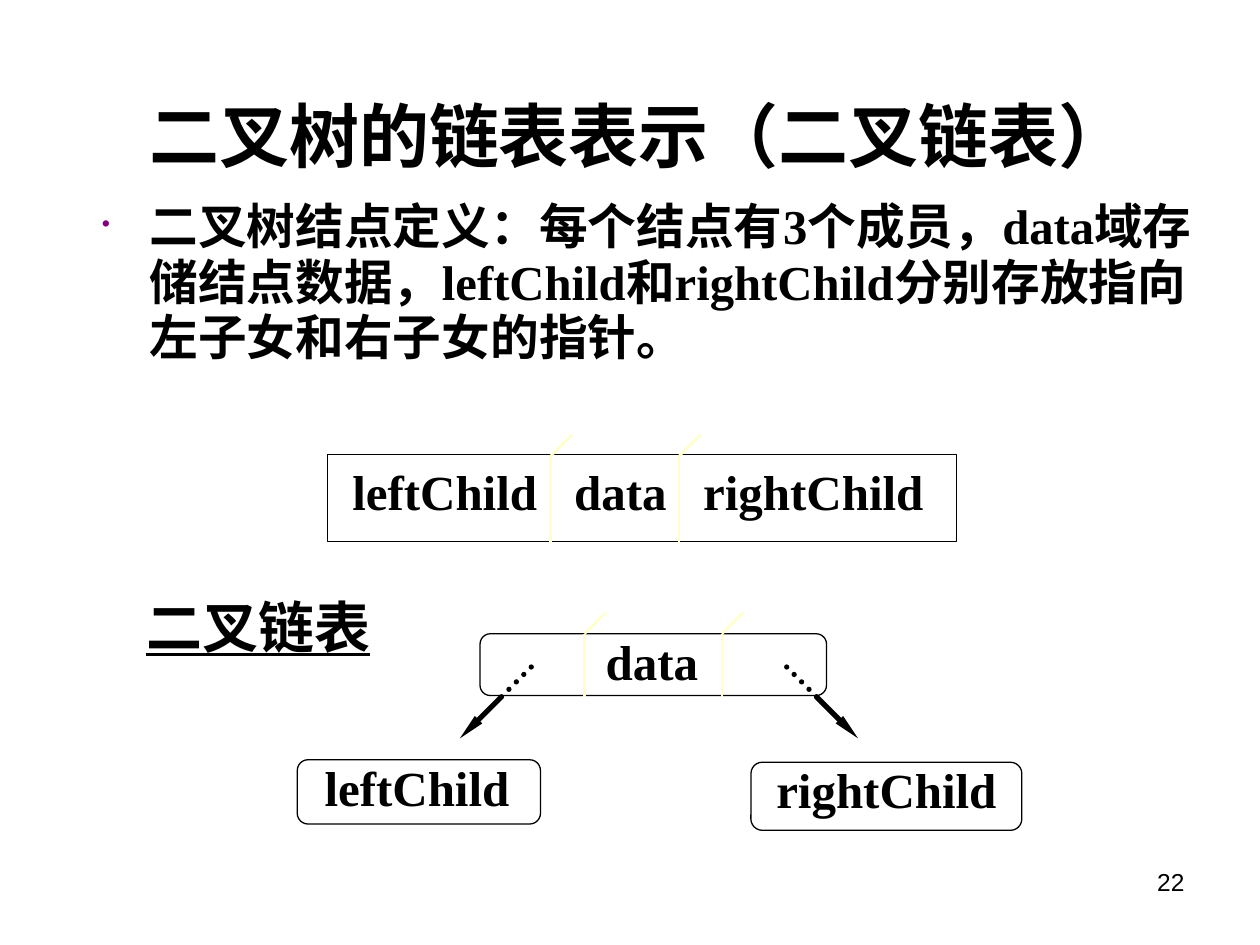
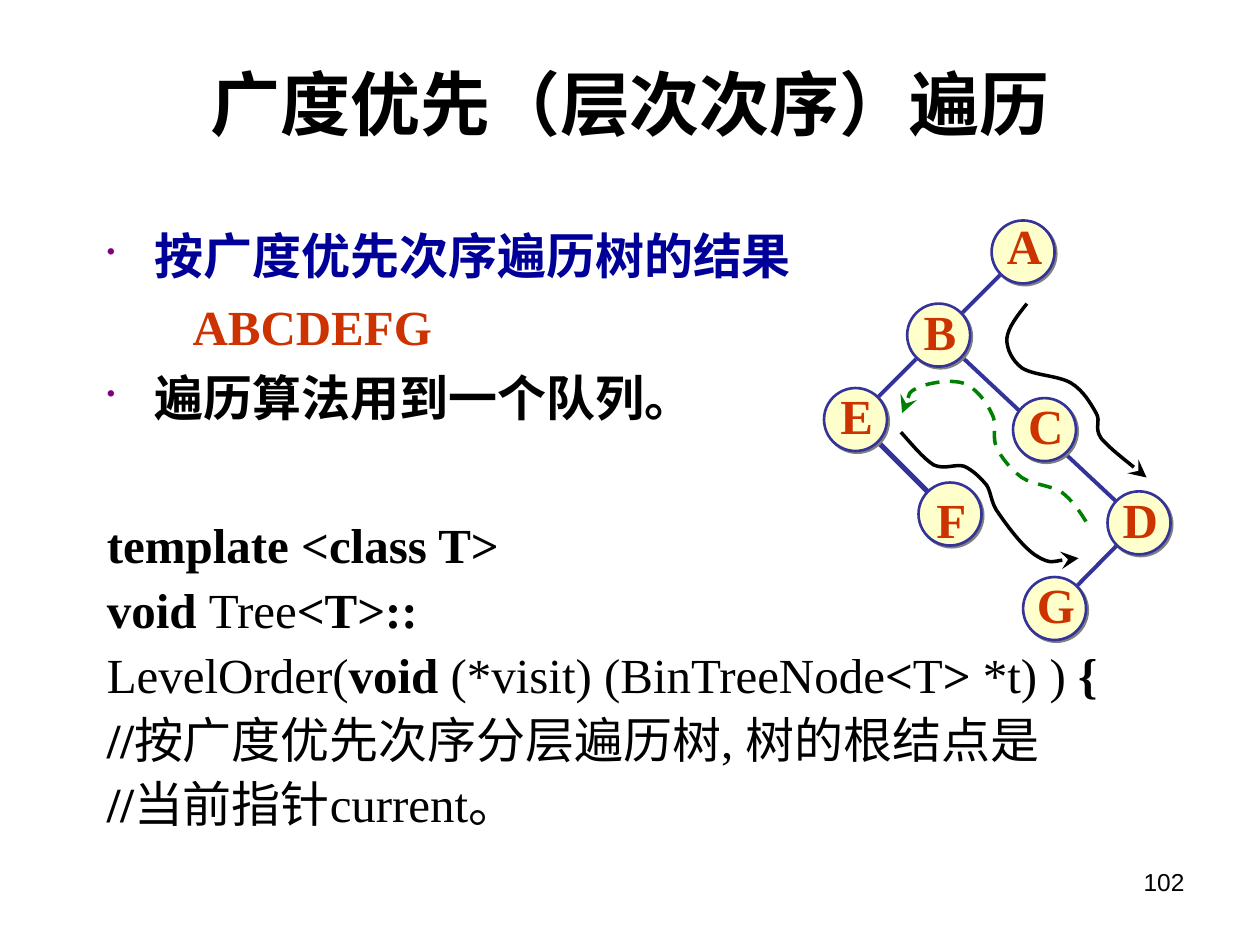
from dataclasses import dataclass
from math import hypot
from typing import NamedTuple

from lxml import etree
from pptx import Presentation
from pptx.dml.color import RGBColor
from pptx.enum.dml import MSO_LINE
from pptx.enum.shapes import MSO_CONNECTOR, MSO_SHAPE
from pptx.enum.text import MSO_ANCHOR, MSO_AUTO_SIZE, PP_ALIGN
from pptx.oxml.ns import qn
from pptx.util import Inches, Pt

# Shared look
BLACK = RGBColor(0x00, 0x00, 0x00)
WHITE = RGBColor(0xFF, 0xFF, 0xFF)
CREAM = RGBColor(0xFF, 0xFF, 0xCC)
INDIGO = RGBColor(0x33, 0x33, 0x99)
NAVY = RGBColor(0x00, 0x00, 0x99)
RUST = RGBColor(0xCC, 0x33, 0x00)
GREEN = RGBColor(0x00, 0x80, 0x00)
PURPLE = RGBColor(0x80, 0x00, 0x80)
GRAY = RGBColor(0x80, 0x80, 0x80)
SERIF, SANS, CJK = "Times New Roman", "Arial", "Noto Sans CJK JP"

LEFT, CENTER, RIGHT = PP_ALIGN.LEFT, PP_ALIGN.CENTER, PP_ALIGN.RIGHT
TOP, MIDDLE = MSO_ANCHOR.TOP, MSO_ANCHOR.MIDDLE
RECTANGLE, ROUNDED = MSO_SHAPE.RECTANGLE, MSO_SHAPE.ROUNDED_RECTANGLE
OVAL, STRAIGHT = MSO_SHAPE.OVAL, MSO_CONNECTOR.STRAIGHT
DASH, DOTS = MSO_LINE.DASH, MSO_LINE.ROUND_DOT

# Grid of 100 columns by 75 rows
WIDTH, HEIGHT = Inches(10), Inches(7.5)
COLUMN, ROW = WIDTH / 100, HEIGHT / 75
HANGING = 3.8


class Point(NamedTuple):
    x: float
    y: float

    def emu(self) -> tuple[int, int]:
        return round(self.x * COLUMN), round(self.y * ROW)


class Area(NamedTuple):
    left: float
    top: float
    width: float
    height: float

    def emu(self) -> tuple[int, int, int, int]:
        return (*Point(self.left, self.top).emu(), *Point(self.width, self.height).emu())


class Span(NamedTuple):
    text: str
    bold: bool = True
    color: RGBColor = BLACK


@dataclass
class Para:
    spans: list[Span]
    bullet: bool = False
    margin: float = 0
    before: float = 0
    spacing: float = 1.0


class Node(NamedTuple):
    center: Point
    rise: float = 0.7


class Curve(NamedTuple):
    points: list[tuple[float, float]]
    color: RGBColor = BLACK
    dash: MSO_LINE | None = None


def child(parent, tag: str, **attributes: str):
    return etree.SubElement(parent, qn(tag), attributes)


# Text
def format_span(span, *, size: float, font: str, asian: str, color: RGBColor,
                bold: bool, underline: bool = False) -> None:
    span.font.size = Pt(size)
    span.font.bold = bold
    span.font.underline = underline or None
    span.font.color.rgb = color
    span.font.name = font
    child(span._r.get_or_add_rPr(), "a:ea", typeface=asian)


def add_bullet(para) -> None:
    properties = para._p.get_or_add_pPr()
    child(child(properties, "a:buClr"), "a:srgbClr", val=str(PURPLE))
    child(properties, "a:buSzPct", val="50000")
    child(properties, "a:buChar", char="•")


def fill_text(frame, paras: list[Para], *, size: float, font: str = SERIF,
              asian: str = SANS, align: PP_ALIGN = LEFT, anchor: MSO_ANCHOR = TOP,
              wrap: bool = True, underline: bool = False) -> None:
    frame.word_wrap = wrap
    frame.auto_size = MSO_AUTO_SIZE.NONE
    frame.vertical_anchor = anchor
    for index, item in enumerate(paras):
        para = frame.paragraphs[0] if index == 0 else frame.add_paragraph()
        para.alignment = align
        para.line_spacing = item.spacing
        if index:
            para.space_before = Pt(item.before)
        properties = para._p.get_or_add_pPr()
        properties.set("marL", str(round(item.margin * COLUMN)))
        properties.set("indent", str(-round(HANGING * COLUMN) if item.bullet else 0))
        if item.bullet:
            add_bullet(para)
        for part in item.spans:
            span = para.add_run()
            span.text = part.text
            format_span(span, size=size, font=font, asian=asian, color=part.color,
                        bold=part.bold, underline=underline)


def add_text(page, area: Area, paras: list[Para], **style) -> None:
    box = page.shapes.add_textbox(*area.emu())
    fill_text(box.text_frame, paras, **style)


def add_label(page, area: Area, text: str, *, size: float = 28,
              color: RGBColor = BLACK, underline: bool = False) -> None:
    add_text(page, area, [Para([Span(text, color=color)])], size=size,
             align=CENTER, anchor=MIDDLE, wrap=False, underline=underline)


def add_page(deck, title: str, area: Area, number: int):
    page = deck.slides.add_slide(deck.slide_layouts[5])
    box = page.shapes.title
    box.left, box.top, box.width, box.height = area.emu()
    fill_text(box.text_frame, [Para([Span(title)])], size=40, font=SANS, asian=CJK,
              align=CENTER, anchor=MIDDLE)
    add_text(page, Area(71.7, 68.3, 23.3, 5.2), [Para([Span(str(number), False)])],
             size=14, font=SANS, align=RIGHT)
    return page


# Shapes and lines
def add_box(page, kind: MSO_SHAPE, area: Area, *, fill: RGBColor = WHITE,
            line: RGBColor = BLACK, weight: float = 0.75):
    box = page.shapes.add_shape(kind, *area.emu())
    box.shadow.inherit = False
    box.fill.solid()
    box.fill.fore_color.rgb = fill
    box.line.color.rgb = line
    box.line.width = Pt(weight)
    return box


def style_line(shape, color: RGBColor, weight: float, dash: MSO_LINE | None = None,
               **arrow: str) -> None:
    shape.line.color.rgb = color
    shape.line.width = Pt(weight)
    if dash is not None:
        shape.line.dash_style = dash
    outline = shape.line._get_or_add_ln()
    if dash == DOTS:
        outline.set("cap", "rnd")
    if arrow:
        child(outline, "a:tailEnd", **arrow)


def add_line(page, start: Point, end: Point, color: RGBColor, weight: float,
             dash: MSO_LINE | None = None, **arrow: str) -> None:
    line = page.shapes.add_connector(STRAIGHT, *start.emu(), *end.emu())
    style_line(line, color, weight, dash, **arrow)
    child(line._element.spPr, "a:effectLst")


def add_divider(page, x: float, top: float, bottom: float) -> None:
    corner = Point(x, top)
    add_line(page, Point(x, bottom), corner, CREAM, 1.5)
    add_line(page, corner, Point(x + 1.7, top - 1.7), CREAM, 1.5)


def add_curve(page, curve: Curve) -> None:
    start, *rest = [Point(*point).emu() for point in curve.points]
    builder = page.shapes.build_freeform(*start)
    builder.add_line_segments(rest, close=False)
    shape = builder.convert_to_shape()
    shape.shadow.inherit = False
    shape.fill.background()
    style_line(shape, curve.color, 2, curve.dash, type="stealth", w="lg", len="lg")
    # Every three segments become one cubic curve
    segments = list(shape._element.iter(qn("a:lnTo")))
    for first in range(0, len(segments), 3):
        cubic = etree.Element(qn("a:cubicBezTo"))
        segments[first].addprevious(cubic)
        for segment in segments[first:first + 3]:
            cubic.append(segment[0])
            segment.getparent().remove(segment)


def add_node(page, name: str, node: Node) -> None:
    x, y = node.center
    circle = add_box(page, OVAL, Area(x - 2.5, y - 2.5, 5, 5), fill=CREAM,
                     line=INDIGO, weight=1.5)
    effects = circle._element.spPr.find(qn("a:effectLst"))
    shadow = child(effects, "a:outerShdw", dist=str(Pt(1.4)), dir="2700000", algn="ctr",
                   rotWithShape="0")
    child(shadow, "a:srgbClr", val=str(GRAY))
    add_label(page, Area(x - 2.3, y - 2.5 - node.rise, 4.8, 5.7), name, color=RUST)


def add_edge(page, start: Point, end: Point, weight: float) -> None:
    length = hypot(end.x - start.x, end.y - start.y)
    inset_x = 1.1 * (end.x - start.x) / length
    inset_y = 1.1 * (end.y - start.y) / length
    add_line(page, Point(start.x + inset_x, start.y + inset_y),
             Point(end.x - inset_x, end.y - inset_y), INDIGO, weight)


# Slide contents
DEFINITION = ("二叉树结点定义：每个结点有3个成员，data域存储结点数据，"
              "leftChild和rightChild分别存放指向左子女和右子女的指针。")

CODE = [
    [Span("template <class T>")],
    [Span("void "), Span("Tree", False), Span("<T>::")],
    [Span("LevelOrder(", False), Span("void"), Span(" (*visit) (BinTreeNode", False),
     Span("<"), Span("T", False), Span(">"), Span(" *t) ) ", False), Span("{")],
    [Span("//"), Span("按广度优先次序分层遍历树, 树的根结点是", False)],
    [Span("//"), Span("当前指针current。", False)],
]

NODES = {
    "A": Node(Point(81.2, 20), 0.9),
    "B": Node(Point(74.5, 26.6)),
    "C": Node(Point(82.9, 34.1)),
    "D": Node(Point(90.4, 41.5)),
    "E": Node(Point(67.9, 33.3)),
    "F": Node(Point(75.4, 40.8), 0),
    "G": Node(Point(83.7, 48.3)),
}
EDGES = [("D", "G", 2.25), ("E", "F", 3), ("A", "E", 2.25), ("B", "D", 2.25)]

CURVES = [
    Curve([(81.5, 24.1), (80.7, 25.1), (80, 26), (79.9, 26.9), (79.9, 27.7),
           (80.3, 28.6), (81.1, 29.2), (82, 29.8), (84, 29.8), (85, 30.4), (86, 31),
           (86.6, 32.1), (87, 32.8), (87.4, 33.5), (86.8, 33.9), (87.4, 34.8),
           (88.1, 35.6), (90.4, 37.4), (91, 37.9)]),
    Curve([(86.2, 41.4), (85.7, 40.6), (85.1, 39.7), (84.3, 39.1), (83.4, 38.5),
           (82, 38.5), (81.1, 37.9), (80.3, 37.3), (79.5, 36.4), (79.1, 35.5),
           (78.7, 34.7), (79.2, 33.6), (78.7, 32.8), (78.3, 31.9), (77.4, 30.7),
           (76.4, 30.4), (75.4, 30.1), (73.6, 30.4), (72.8, 30.8), (72, 31.2),
           (71.8, 32.4), (71.6, 32.8)], GREEN, DASH),
    Curve([(71.5, 34.3), (72.4, 35.3), (73.3, 36.4), (74.1, 36.9), (75, 37.3),
           (75.8, 36.8), (76.5, 37), (77.2, 37.3), (77.8, 37.9), (78.3, 38.5),
           (78.7, 39.1), (78.6, 39.9), (79.3, 40.8), (80, 41.8), (81.3, 43.6),
           (82.4, 44.2), (83.4, 44.8), (85, 44.3), (85.6, 44.3)]),
]


def build_linked_list(deck) -> None:
    page = add_page(deck, "二叉树的链表表示（二叉链表）", Area(5.7, 5.2, 90, 11), 22)
    add_text(page, Area(7.1, 15.4, 88.6, 17.3),
             [Para([Span(DEFINITION)], True, HANGING, spacing=0.95)], size=27.8)

    # Node record
    add_box(page, RECTANGLE, Area(26, 36.1, 49.9, 6.9))
    for field, left, width in (("leftChild", 27, 16.6), ("data", 44.6, 9.3),
                               ("rightChild", 54.8, 19.5)):
        add_label(page, Area(left, 36.1, width, 5.7), field)
    for x in (43.7, 53.9):
        add_divider(page, x, 36.2, 43)

    # Parent with two children
    add_label(page, Area(10.6, 46.5, 19.8, 6.4), "二叉链表", size=32, underline=True)
    for area in (Area(38.1, 50.3, 27.5, 4.9), Area(59.6, 60.5, 21.5, 5.4),
                 Area(23.6, 60.3, 19.3, 5.1)):
        add_box(page, ROUNDED, area)
    add_label(page, Area(47.1, 49.6, 9.3, 5.7), "data")
    add_label(page, Area(24.8, 59.6, 16.6, 5.7), "leftChild")
    add_label(page, Area(60.6, 59.8, 19.5, 5.7), "rightChild")
    for x in (46.4, 57.3):
        add_divider(page, x, 50.3, 55.3)
    for x, side in ((39.8, -1), (64.8, 1)):
        edge = Point(x, 55.3)
        add_line(page, edge, Point(x - side * 2.5, 52.8), BLACK, 3, DOTS)
        add_line(page, edge, Point(x + side * 3.3, 58.6), BLACK, 3,
                 type="triangle", w="sm", len="lg")


def build_level_order(deck) -> None:
    page = add_page(deck, "广度优先（层次次序）遍历", Area(5, 3, 90, 10.3), 102)
    paras = [
        Para([Span("按广度优先次序遍历树的结果", color=NAVY)], True, HANGING),
        Para([Span("ABCDEFG", color=RUST)], margin=6.8, before=7),
        Para([Span("遍历算法用到一个队列。")], True, HANGING, before=7),
    ]
    paras += [Para(spans, before=1.8 if index else 48.5, spacing=1.05)
              for index, spans in enumerate(CODE)]
    add_text(page, Area(7.5, 17.4, 83.5, 52.4), paras, size=28)

    # Tree and the visiting order
    for start, end, weight in EDGES:
        add_edge(page, NODES[start].center, NODES[end].center, weight)
    for name, node in NODES.items():
        add_node(page, name, node)
    for curve in CURVES:
        add_curve(page, curve)


def main() -> None:
    deck = Presentation()
    deck.slide_width, deck.slide_height = WIDTH, HEIGHT
    build_linked_list(deck)
    build_level_order(deck)
    deck.save("out.pptx")


if __name__ == "__main__":
    main()
